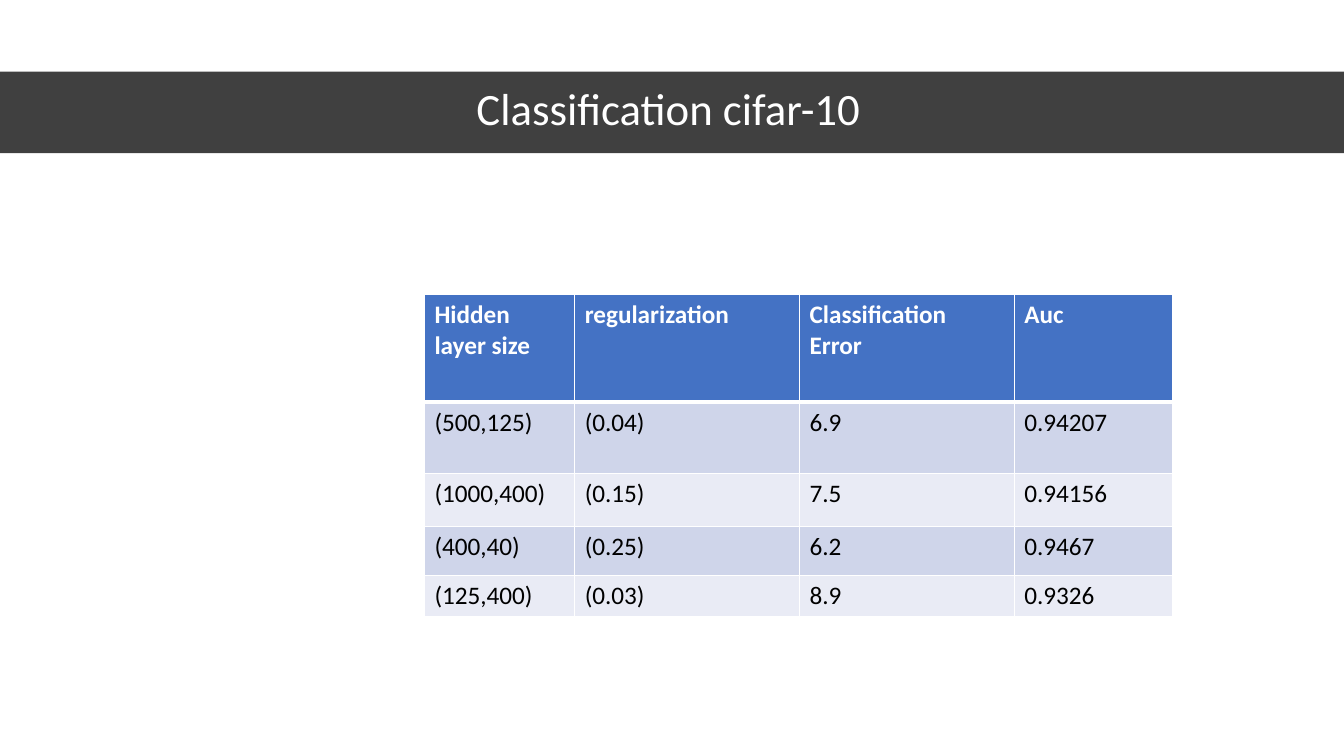
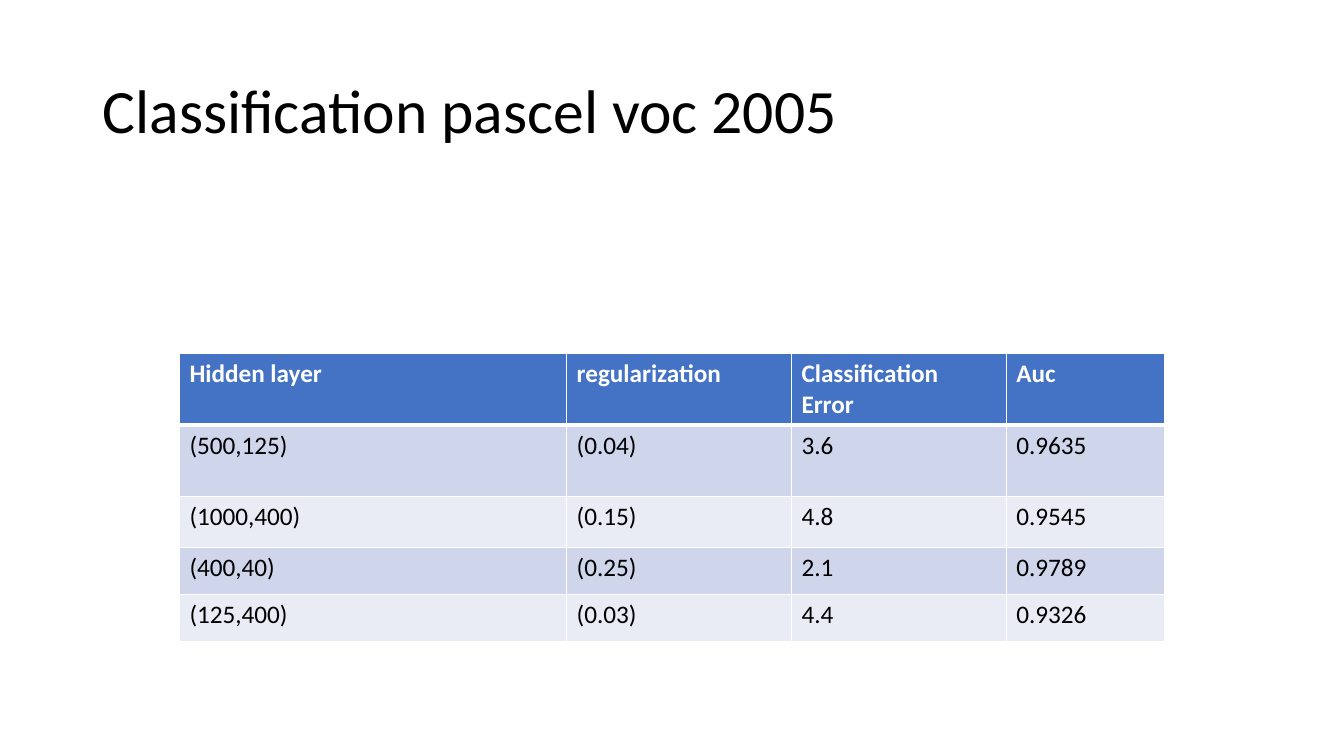
from lxml import etree
from pptx import Presentation, util as u
from pptx.dml.color import RGBColor
from pptx.enum import shapes, text
from pptx.oxml.ns import qn

WHITE = RGBColor(0xFF, 0xFF, 0xFF)
BLACK = RGBColor(0, 0, 0)
BLUE = RGBColor(0x44, 0x72, 0xC4)
BANDS = RGBColor(0xE9, 0xEB, 0xF5), RGBColor(0xCF, 0xD5, 0xEA)
FONT = "Calibri"
WIDE, HIGH = 13.33, 7.5
LAST = 2.23, 2.13, 1.57  # widths of the columns after the first
LAYERS = "(500,125)", "(1000,400)", "(400,40)", "(125,400)"
RATES = "(0.04)", "(0.15)", "(0.25)", "(0.03)"

SLIDES = [
    dict(title="Classification cifar-10", box=(0.5, 0.7, 12.26, 0.81),
         size=32, color=WHITE, align=text.PP_ALIGN.CENTER,
         band=(0, 0.71, WIDE, 0.81),
         head="Hidden layer size", spot=(4.21, 2.92), first=1.49,
         rows=(1.07, 0.71, 0.52, 0.49, 0.41),
         errors=("6.9", "7.5", "6.2", "8.9"),
         aucs=("0.94207", "0.94156", "0.9467", "0.9326")),
    dict(title="Classification pascel voc 2005", box=(0.92, 0.4, 11.5, 1.45),
         size=44, color=BLACK, align=text.PP_ALIGN.LEFT, band=None,
         head="Hidden layer", spot=(1.78, 3.51), first=3.84,
         rows=(0.71, 0.71, 0.5, 0.47, 0.47),
         errors=("3.6", "4.8", "2.1", "4.4"),
         aucs=("0.9635", "0.9545", "0.9789", "0.9326")),
]


def inches(nums):
    return [u.Inches(n) for n in nums]


def style(frame, size, color, bold=False):
    for para in frame.paragraphs:
        for run in para.runs:
            run.font.name, run.font.size = FONT, u.Pt(size)
            run.font.color.rgb, run.font.bold = color, bold


def add_band(slide, box):
    band = slide.shapes.add_shape(shapes.MSO_SHAPE.RECTANGLE, *inches(box))
    band.shadow.inherit = False
    band.line.fill.background()
    band.fill.solid()
    band.fill.fore_color.rgb = BLACK
    tint = next(band._element.spPr.iter(qn("a:srgbClr")))
    etree.SubElement(tint, qn("a:alpha"), val="75000")


def add_title(slide, data):
    frame = slide.shapes.add_textbox(*inches(data["box"])).text_frame
    frame.word_wrap = True
    frame.vertical_anchor = text.MSO_ANCHOR.MIDDLE
    frame.text = data["title"]
    para = frame.paragraphs[0]
    para.alignment, para.line_spacing = data["align"], 0.9
    style(frame, data["size"], data["color"])


def add_edges(cell, row):
    """Draw white cell borders, thick between the header and the body."""
    props = cell._tc.get_or_add_tcPr()
    widths = dict(L=1, R=1, T=3 if row == 1 else 1, B=3 if row == 0 else 1)
    for side, width in widths.items():
        line = etree.SubElement(props, qn("a:ln" + side), w=str(u.Pt(width)))
        fill = etree.SubElement(line, qn("a:solidFill"))
        etree.SubElement(fill, qn("a:srgbClr"), val=str(WHITE))


def add_table(slide, data):
    head = data["head"], "regularization", "Classification\nError", "Auc"
    grid = [head, *zip(LAYERS, RATES, data["errors"], data["aucs"])]
    cols, rows = (data["first"], *LAST), data["rows"]
    box = *data["spot"], sum(cols), sum(rows)
    table = slide.shapes.add_table(len(rows), len(cols), *inches(box)).table
    for col, width in zip(table.columns, inches(cols)):
        col.width = width
    for r, (height, words) in enumerate(zip(inches(rows), grid)):
        table.rows[r].height = height
        for c, word in enumerate(words):
            cell = table.cell(r, c)
            add_edges(cell, r)
            cell.fill.solid()
            cell.fill.fore_color.rgb = BANDS[r % 2] if r else BLUE
            cell.text_frame.text = word
            style(cell.text_frame, 18, BLACK if r else WHITE, r == 0)


def main():
    deck = Presentation()
    deck.slide_width, deck.slide_height = inches((WIDE, HIGH))
    for data in SLIDES:
        slide = deck.slides.add_slide(deck.slide_layouts[6])
        if data["band"]:
            add_band(slide, data["band"])
        add_title(slide, data)
        add_table(slide, data)
    deck.save("out.pptx")


if __name__ == "__main__":
    main()
